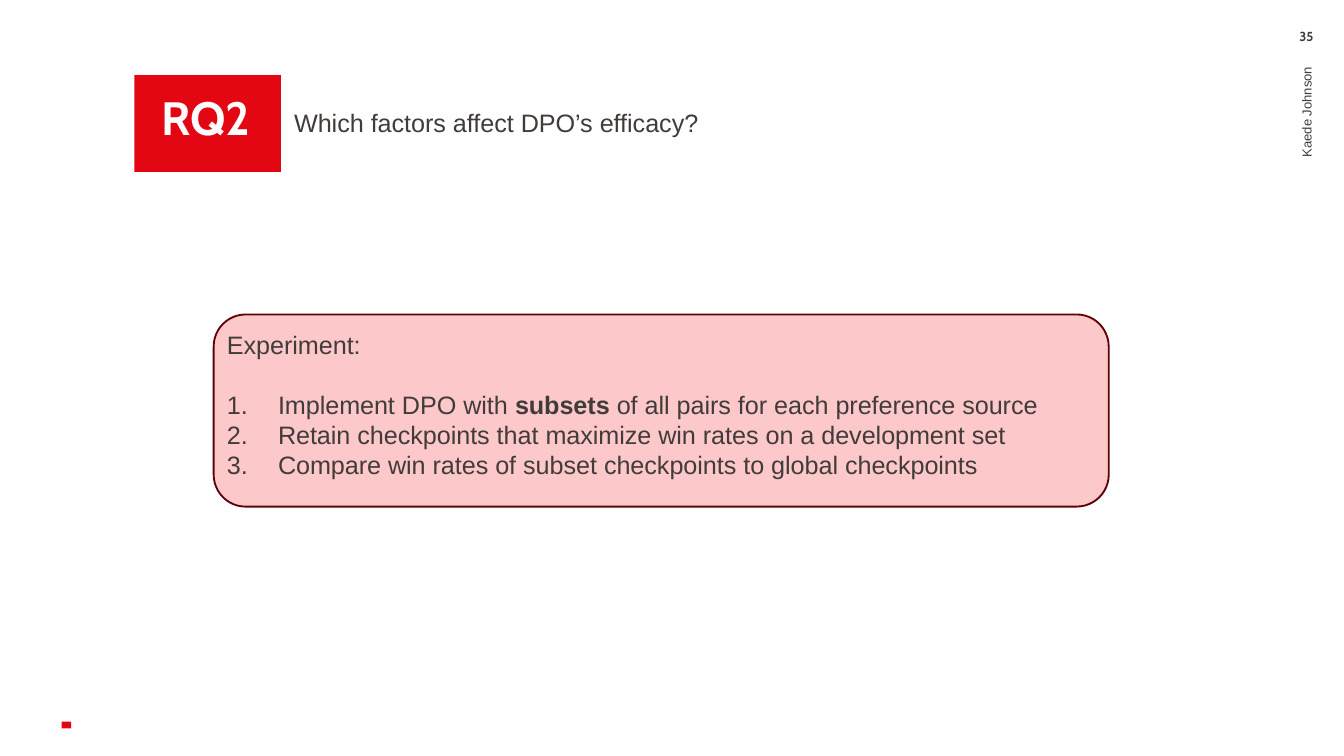
from dataclasses import dataclass

from lxml.etree import SubElement
from pptx import Presentation
from pptx.dml.color import RGBColor
from pptx.enum.shapes import MSO_SHAPE as Shape
from pptx.enum.text import MSO_ANCHOR as Anchor, PP_ALIGN as Align
from pptx.oxml.ns import qn
from pptx.util import Inches, Pt


@dataclass(frozen=True)
class Theme:
    red: str = "E30613"
    pink: str = "FDC8CA"
    maroon: str = "5F0208"
    ink: str = "413C3A"
    white: str = "FFFFFF"
    body_font: str = "Arial"
    display_font: str = "Cabin"
    title_size: float = 25
    body_size: float = 13.5
    small_size: float = 7


THEME = Theme()


def add_box(slide, kind, box, fill, line=None):
    shape = slide.shapes.add_shape(kind, *map(Inches, box))
    shape.shadow.inherit = False
    shape.fill.solid()
    shape.fill.fore_color.rgb = RGBColor.from_string(fill)
    if line:
        shape.line.color.rgb = RGBColor.from_string(line)
        shape.line.width = Pt(1)
    else:
        shape.line.fill.background()
    return shape


def add_textbox(slide, box):
    return slide.shapes.add_textbox(*map(Inches, box))


def set_frame(shape, insets=(0.1, 0.05, 0.1, 0.05), anchor=Anchor.TOP):
    frame = shape.text_frame
    frame.word_wrap = True
    frame.vertical_anchor = anchor
    (frame.margin_left, frame.margin_top,
     frame.margin_right, frame.margin_bottom) = map(Inches, insets)
    return frame


def number_paragraph(paragraph, indent):
    properties = paragraph._p.get_or_add_pPr()
    properties.set("marL", str(Inches(indent)))
    properties.set("indent", str(-Inches(indent)))
    color = SubElement(properties, qn("a:buClr"))
    SubElement(color, qn("a:srgbClr"), val=THEME.ink)
    SubElement(properties, qn("a:buAutoNum"), type="arabicPeriod")


def write(paragraph, *texts, size=THEME.body_size, font=THEME.body_font,
          color=THEME.ink, bold=(), align=Align.LEFT, spacing=None, after=0):
    """Write each text as a run; bold holds the indexes of the bold runs."""
    paragraph.alignment = align
    paragraph.space_after = Pt(after)
    if spacing:
        paragraph.line_spacing = spacing
    for index, text in enumerate(texts):
        run = paragraph.add_run()
        run.text = text
        run.font.size = Pt(size)
        run.font.name = font
        run.font.bold = index in bold
        run.font.color.rgb = RGBColor.from_string(color)


def add_heading(slide, box, label, question):
    left, top, width, height = box
    tag_width = 1.09

    # Red tag
    tag = add_box(slide, Shape.RECTANGLE, (left, top, tag_width, height), THEME.red)
    frame = set_frame(tag, (0.2, 0, 0.08, 0.05), Anchor.MIDDLE)
    write(frame.paragraphs[0], label, size=THEME.title_size, bold=(0,),
          font=THEME.display_font, color=THEME.white, spacing=0.9)

    # Research question
    text = add_textbox(slide, (left + tag_width, top + 0.14, width - tag_width, 0.43))
    write(set_frame(text, (0.1,) * 4).paragraphs[0], question)


def add_margin(slide, box, author, number):
    left, top, width, height = box

    # Author, turned to read upwards and ending at the foot of the box
    length, thickness = 3.87, 0.56
    name = add_textbox(slide, (left + width / 2 - length / 2,
                               top + height - length / 2 - thickness / 2,
                               length, thickness))
    name.rotation = 270
    write(set_frame(name, anchor=Anchor.MIDDLE).paragraphs[0], author,
          size=THEME.small_size, align=Align.RIGHT)

    # Page number
    page = add_textbox(slide, (left, top, width, 0.18))
    write(set_frame(page, (0.1, 0, 0.1, 0)).paragraphs[0], number, bold=(0,),
          size=THEME.small_size, font=THEME.display_font, align=Align.CENTER)


def add_experiment(slide, box, title, steps):
    left, top, width, height = box
    add_box(slide, Shape.ROUNDED_RECTANGLE, box, THEME.pink, THEME.maroon)
    text = add_textbox(slide, (left, top + 0.06, width - 0.35, 1.69))
    frame = set_frame(text)
    write(frame.paragraphs[0], title, after=16)
    for texts, bold in steps:
        paragraph = frame.add_paragraph()
        number_paragraph(paragraph, 0.38)
        write(paragraph, *texts, bold=bold)


def main():
    presentation = Presentation()
    # Widescreen, 16:9
    presentation.slide_width = Inches(10)
    presentation.slide_height = presentation.slide_width * 9 // 16
    slide = presentation.slides.add_slide(presentation.slide_layouts[6])

    # Footer mark
    add_box(slide, Shape.RECTANGLE, (0.46, 5.37, 0.07, 0.05), THEME.red)
    add_heading(slide, (1, 0.56, 4.8, 0.72), "RQ2",
                "Which factors affect DPO’s efficacy?")
    add_margin(slide, (9.44, 0.21, 0.56, 4.06), "Kaede Johnson", "35")
    add_experiment(slide, (1.59, 2.34, 6.66, 1.43), "Experiment:", [
        (("Implement DPO with ", "subsets",
          " of all pairs for each preference source"), (1,)),
        (("Retain checkpoints that maximize win rates on a development set",), ()),
        (("Compare win rates of subset checkpoints to global checkpoints",), ()),
    ])
    presentation.save("out.pptx")


if __name__ == "__main__":
    main()
